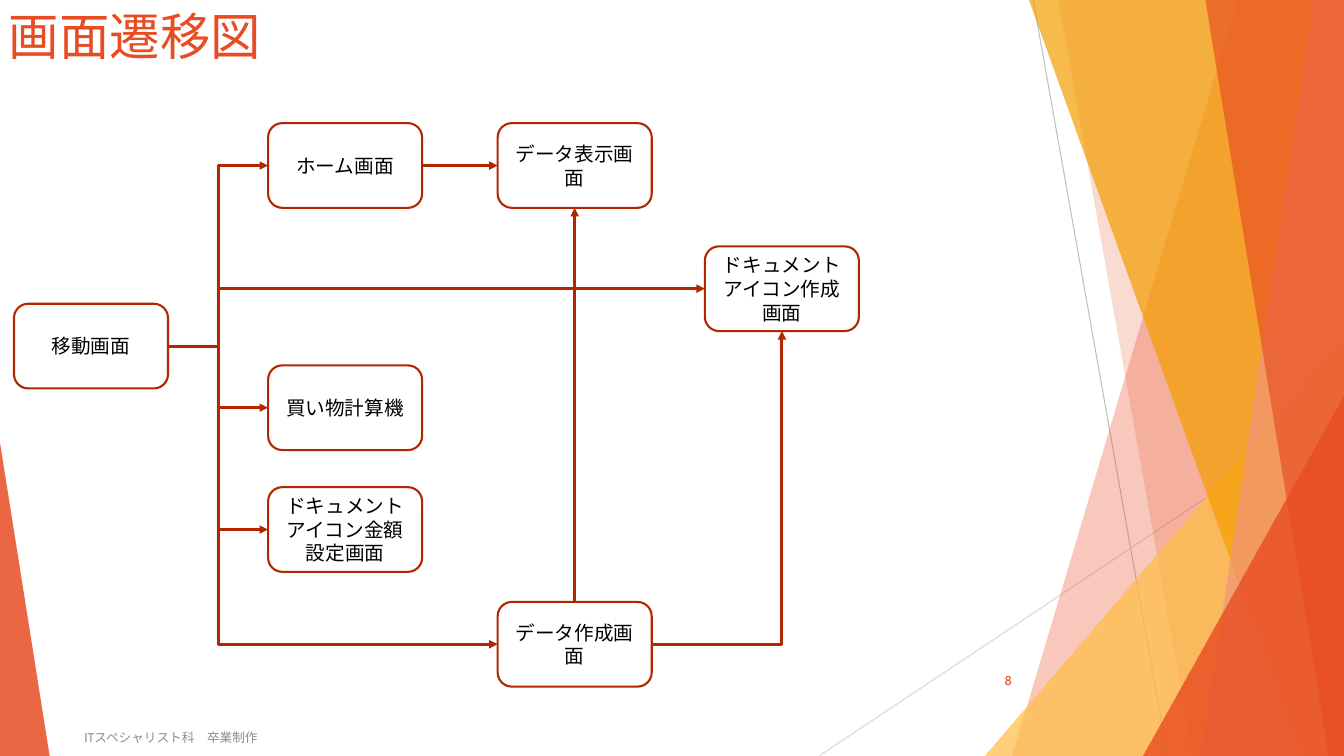
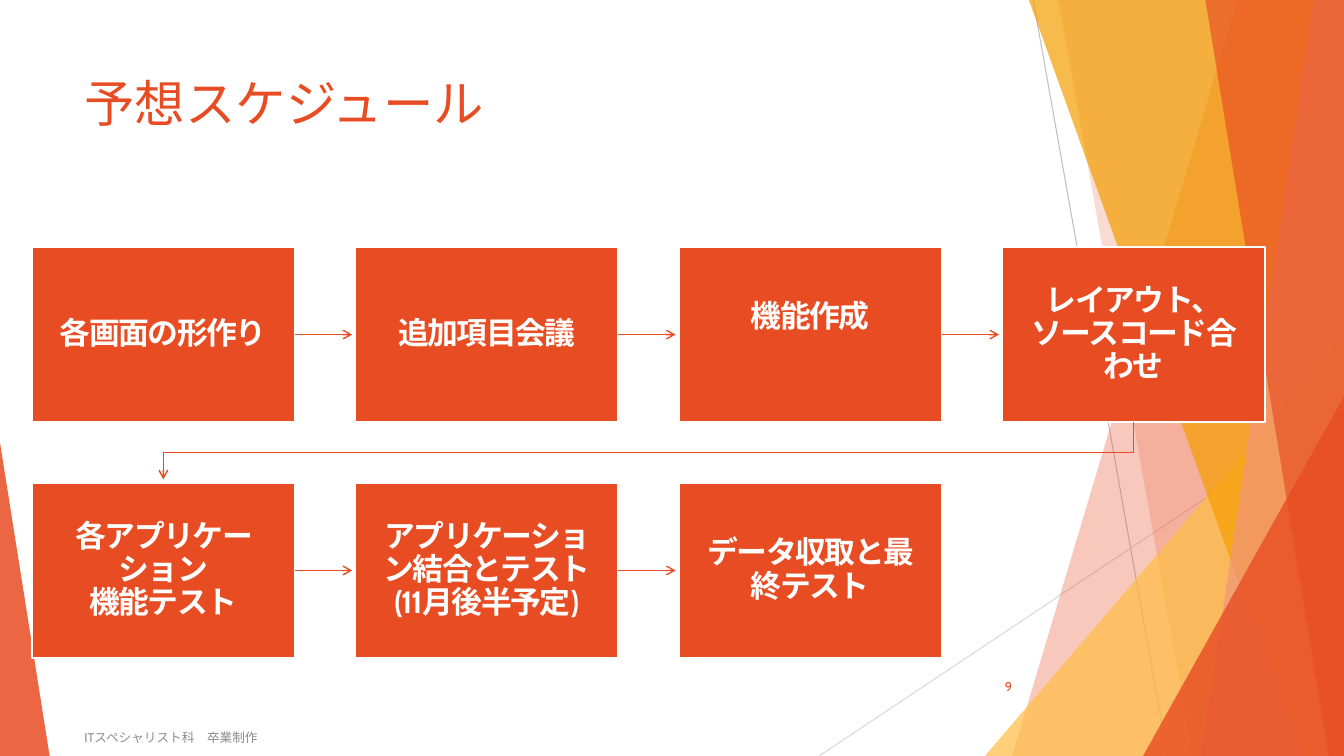
import pptx
import pptx.dml.color
import pptx.enum.dml
import pptx.enum.lang
import pptx.enum.shapes
import pptx.enum.text
import pptx.oxml.ns
import pptx.util
from lxml import etree

Pt = pptx.util.Pt
RGBColor = pptx.dml.color.RGBColor
SHAPE = pptx.enum.shapes.MSO_SHAPE
CONNECTOR = pptx.enum.shapes.MSO_CONNECTOR
ALIGN = pptx.enum.text.PP_ALIGN
ANCHOR = pptx.enum.text.MSO_ANCHOR
JAPANESE = pptx.enum.lang.MSO_LANGUAGE_ID.JAPANESE
qn = pptx.oxml.ns.qn

FONT = "Cabin"
WIDTH, HEIGHT = 960, 540
TOP, LEFT, BOTTOM, RIGHT = 0, 1, 2, 3  # connection sites

ORANGE = RGBColor(0xE8, 0x4C, 0x22)
AMBER = RGBColor(0xF4, 0x9D, 0x00)
YELLOW = RGBColor(0xFF, 0xBD, 0x47)
SALMON = RGBColor(0xF1, 0x94, 0x7A)
RUST = RGBColor(0xB2, 0x26, 0x00)
WHITE = RGBColor(0xFF, 0xFF, 0xFF)
BLACK = RGBColor(0, 0, 0)
GRAY = RGBColor(0x8C, 0x8C, 0x8C)
MID_GRAY = RGBColor(0xBF, 0xBF, 0xBF)
LIGHT_GRAY = RGBColor(0xD9, 0xD9, 0xD9)


# Formatting helpers
def write(shape, text, size, color, align=ALIGN.LEFT, anchor=ANCHOR.MIDDLE, bold=False):
    frame = shape.text_frame
    frame.word_wrap = True
    frame.vertical_anchor = anchor
    paragraph = frame.paragraphs[0]
    paragraph.text = text
    paragraph.alignment = align
    for run in paragraph.runs:
        run.font.name = FONT
        run.font.size = Pt(size)
        run.font.bold = bold
        run.font.color.rgb = color
        run.font.language_id = JAPANESE
    return paragraph


def add_text(slide, box, *args, **options):
    shape = slide.shapes.add_textbox(*map(Pt, box))
    write(shape, *args, **options)


def paint(shape, fill, line=None, width=1.5, opacity=100):
    shape.shadow.inherit = False
    shape.fill.solid()
    shape.fill.fore_color.rgb = fill
    if opacity < 100:
        color = shape.fill._xPr.find(qn("a:solidFill"))[0]
        etree.SubElement(color, qn("a:alpha"), val=str(opacity * 1000))
    if line is None:
        shape.line.fill.background()
    else:
        shape.line.color.rgb = line
        shape.line.width = Pt(width)


def style_line(line_shape, color, width, head=None):
    line_shape.line.color.rgb = color
    line_shape.line.width = Pt(width)
    if head:
        etree.SubElement(line_shape.line._get_or_add_ln(), qn("a:tailEnd"), type=head)


def add_line(slide, start, end, color, width, head=None, kind=CONNECTOR.STRAIGHT):
    connector = slide.shapes.add_connector(kind, *map(Pt, (*start, *end)))
    style_line(connector, color, width, head)
    etree.SubElement(connector._element.spPr, qn("a:effectLst"))
    return connector


def add_path(slide, points, close):
    (start_x, start_y), *rest = [tuple(map(Pt, point)) for point in points]
    builder = slide.shapes.build_freeform(start_x, start_y)
    builder.add_line_segments(rest, close=close)
    shape = builder.convert_to_shape()
    shape.shadow.inherit = False
    return shape


# Shared slide parts
def draw_decoration(slide, left, top, width, height):
    right, bottom = left + width, top + height

    def band(top_x, bottom_x, color, opacity):
        points = [(left + top_x, top), (right, top), (right, bottom), (left + bottom_x, bottom)]
        paint(add_path(slide, points, True), color, opacity=opacity)

    def triangle(x, size, apex, color, opacity):
        box = left + x, bottom - size[1], *size
        shape = slide.shapes.add_shape(SHAPE.ISOSCELES_TRIANGLE, *map(Pt, box))
        shape.adjustments[0] = apex
        paint(shape, color, opacity=opacity)

    add_line(slide, (left + 738, top), (left + 834, bottom), MID_GRAY, 0.75)
    add_line(slide, (right, top + 290), (left + 585, bottom), LIGHT_GRAY, 0.75)
    band(884, 723, ORANGE, 30)
    band(756, 852, ORANGE, 20)
    triangle(703.5, (256.5, 300), 1, YELLOW, 72)
    band(735, 929.5, AMBER, 70)
    band(938.5, 858, SALMON, 70)
    band(861, 949, ORANGE, 65)
    triangle(816.5, (143.5, 257), 1, ORANGE, 80)
    triangle(0, (35.5, 224), 0, ORANGE, 85)


def add_base_slide(presentation, title, title_left, title_top, number, number_top):
    slide = presentation.slides.add_slide(presentation.slide_layouts[6])
    draw_decoration(slide, 0, 0, WIDTH, HEIGHT)
    add_text(slide, (title_left, title_top, 677, 104), title, 36, ORANGE, anchor=ANCHOR.TOP)
    add_text(slide, (53.3, 512, 496, 29), "ITスペシャリスト科　卒業制作", 9, GRAY)
    add_text(slide, (676, number_top, 54, 29), number, 9, ORANGE, align=ALIGN.RIGHT)
    return slide


# Screen transition map
NODE_WIDTH, NODE_HEIGHT = 110, 60.5
TRUNK = 146
NODES = {
    "create": ("データ作成画面", 345.5, 342),
    "home": ("ホーム画面", 181.5, 0),
    "view": ("データ表示画面", 345.5, 0),
    "icon": ("ドキュメントアイコン作成画面", 493.5, 88),
    "move": ("移動画面", 0, 129),
    "calculator": ("買い物計算機", 181.5, 173),
    "price": ("ドキュメントアイコン金額設定画面", 181.5, 260),
}


def draw_transition_map(slide, left, top):
    nodes = {}
    for name, (text, x, y) in NODES.items():
        box = left + x, top + y, NODE_WIDTH, NODE_HEIGHT
        node = slide.shapes.add_shape(SHAPE.ROUNDED_RECTANGLE, *map(Pt, box))
        paint(node, WHITE, RUST)
        write(node, text, 14, BLACK, ALIGN.CENTER)
        nodes[name] = node

    def link(source, source_site, target, target_site, kind=CONNECTOR.STRAIGHT):
        connector = add_line(slide, (left, top), (left, top), RUST, 2, "triangle", kind)
        connector.begin_connect(nodes[source], source_site)
        connector.end_connect(nodes[target], target_site)
        return connector._element.spPr.find(qn("a:prstGeom"))

    link("home", RIGHT, "view", LEFT)
    link("create", TOP, "view", BOTTOM)
    link("create", RIGHT, "icon", BOTTOM, CONNECTOR.ELBOW).set("prst", "bentConnector2")

    # Branches that leave the move screen along one trunk
    for target in ("home", "icon", "calculator", "price", "create"):
        geometry = link("move", RIGHT, target, LEFT, CONNECTOR.ELBOW)
        bend = (TRUNK - NODE_WIDTH) / (NODES[target][1] - NODE_WIDTH)
        guides = geometry.find(qn("a:avLst"))
        if guides is None:
            guides = etree.SubElement(geometry, qn("a:avLst"))
        etree.SubElement(guides, qn("a:gd"), name="adj1", fmla=f"val {round(bend * 100000)}")


# Schedule
CARD_WIDTH, CARD_HEIGHT = 187.8, 125.2
PITCH_X, PITCH_Y = 231, 168.5
ARROW_LENGTH = 41
STEPS = [
    ["各画面の形作り", "追加項目会議", "機能作成", "レイアウト、ソースコード合わせ"],
    ["各アプリケーション\v機能テスト", "アプリケーション結合とテスト\v(11月後半予定)", "データ収取と最終テスト"],
]
RAISED_STEP = "機能作成"


def draw_card(slide, left, top, text):
    card = slide.shapes.add_shape(SHAPE.RECTANGLE, *map(Pt, (left, top, CARD_WIDTH, CARD_HEIGHT)))
    paint(card, ORANGE, WHITE)
    paragraph = write(card, text, 22, WHITE, ALIGN.CENTER, bold=True)
    paragraph.line_spacing = 0.9
    for run in paragraph.runs:
        run.font._element.set("spc", "-100")
    frame = card.text_frame
    frame.margin_left = frame.margin_right = frame.margin_top = Pt(12.2)
    frame.margin_bottom = Pt(36.2 if text == RAISED_STEP else 12.2)
    return card


def draw_schedule(slide, left, top):
    for row, texts in enumerate(STEPS):
        for column, text in enumerate(texts):
            x, y = left + column * PITCH_X, top + row * PITCH_Y
            card = draw_card(slide, x, y, text)
            if column < len(texts) - 1:
                start_x, middle = x + CARD_WIDTH, y + CARD_HEIGHT / 2
                end = start_x + ARROW_LENGTH, middle
                arrow = add_line(slide, (start_x, middle), end, ORANGE, 1, "arrow")
                arrow.begin_connect(card, RIGHT)

    # Return from the end of the first row to the start of the second
    first_x = left + CARD_WIDTH / 2
    last_x = first_x + (len(STEPS[0]) - 1) * PITCH_X
    start_y, end_y = top + CARD_HEIGHT, top + PITCH_Y - 2.5
    turn_y = (start_y + top + PITCH_Y) / 2
    points = [(last_x, start_y), (last_x, turn_y), (first_x, turn_y), (first_x, end_y)]
    return_path = add_path(slide, points, False)
    return_path.fill.background()
    style_line(return_path, ORANGE, 1, "arrow")


def main():
    presentation = pptx.Presentation()
    presentation.slide_width, presentation.slide_height = Pt(WIDTH), Pt(HEIGHT)
    slide = add_base_slide(presentation, "画面遷移図", -0.7, 0, "8", 471.6)
    draw_transition_map(slide, 10, 88)
    slide = add_base_slide(presentation, "予想スケジュール", 53.3, 48, "9", 476)
    draw_schedule(slide, 22.8, 176.4)
    presentation.save("out.pptx")


if __name__ == "__main__":
    main()
